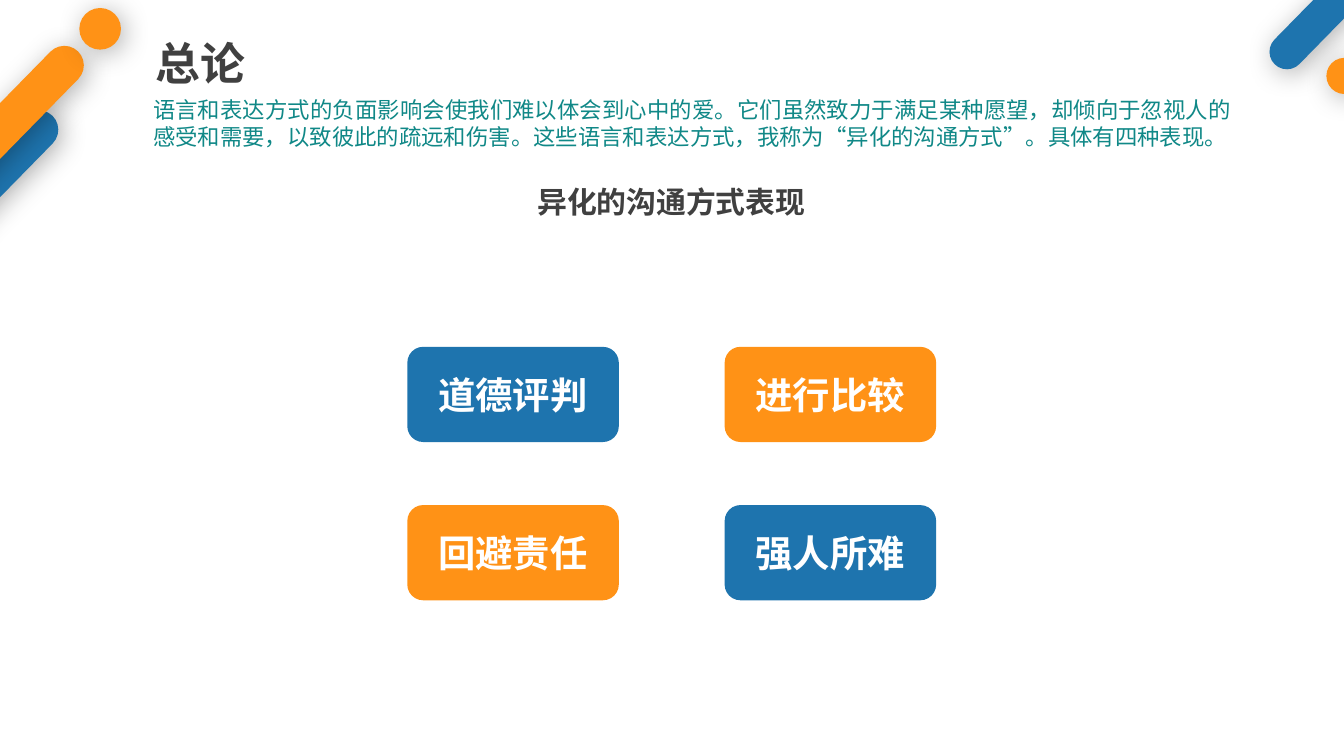
from typing import NamedTuple

from lxml import etree
from pptx import Presentation
from pptx.dml.color import RGBColor
from pptx.enum import lang, shapes, text
from pptx.oxml import ns
from pptx.util import Pt

BLUE = RGBColor(0x1E, 0x74, 0xAE)
ORANGE = RGBColor(0xFF, 0x92, 0x16)
TEAL = RGBColor(0x10, 0x88, 0x87)
DARK = RGBColor(0x40, 0x40, 0x40)
WHITE = RGBColor(0xFF, 0xFF, 0xFF)
CJK_FONT = "Noto Sans CJK SC"
BODY_FONT = "Calibri"


class Box(NamedTuple):
    left: float
    top: float
    width: float
    height: float


class Ornament(NamedTuple):
    box: Box
    color: RGBColor
    is_bar: bool


class Label(NamedTuple):
    wording: str
    size: float
    color: RGBColor
    bold: bool = True
    font: str = BODY_FONT
    align: text.PP_ALIGN = text.PP_ALIGN.CENTER


ORNAMENTS = [
    Ornament(Box(-25.2, 44.6, 20.9, 122.4), BLUE, True),
    Ornament(Box(721.4, -82.8, 18.7, 136.8), BLUE, True),
    Ornament(Box(710.6, 31, 19.4, 19.4), ORANGE, False),
    Ornament(Box(-11.5, 10.1, 20.9, 122.4), ORANGE, True),
    Ornament(Box(42.5, 4.3, 22.3, 22.3), ORANGE, False),
]
BAR_ANGLE = 44.4

INTRO = (
    "语言和表达方式的负面影响会使我们难以体会到心中的爱。"
    "它们虽然致力于满足某种愿望，却倾向于忽视人的感受和需要，以致彼此的疏远和伤害。"
    "这些语言和表达方式，我称为“异化的沟通方式”。具体有四种表现。"
)

CARDS = [["道德评判", "进行比较"], ["回避责任", "强人所难"]]
FIRST_CARD = Box(218.2, 185.8, 113.3, 51)
COLUMN_STEP, ROW_STEP = 170, 84.8


def pts(box: Box) -> list[Pt]:
    return [Pt(length) for length in box]


def write(frame, label: Label) -> None:
    frame.word_wrap = True
    frame.text = label.wording
    paragraph = frame.paragraphs[0]
    paragraph.alignment = label.align
    font = paragraph.runs[0].font
    font.name = label.font
    font.size = Pt(label.size)
    font.bold = label.bold
    font.color.rgb = label.color
    font.language_id = lang.MSO_LANGUAGE_ID.SIMPLIFIED_CHINESE
    east_asian = etree.Element(ns.qn("a:ea"), typeface=CJK_FONT)
    paragraph.runs[0]._r.rPr.find(ns.qn("a:latin")).addnext(east_asian)


def add_solid(slide, kind: shapes.MSO_SHAPE, box: Box, color: RGBColor):
    solid = slide.shapes.add_shape(kind, *pts(box))
    solid.shadow.inherit = False
    solid.fill.solid()
    solid.fill.fore_color.rgb = color
    solid.line.fill.background()
    return solid


def add_soft_shadow(solid) -> None:
    effects = solid._element.spPr.find(ns.qn("a:effectLst"))
    shadow = etree.SubElement(
        effects, ns.qn("a:outerShdw"), blurRad=str(Pt(15)), dist=str(Pt(3)),
        dir=str(45 * 60000), algn="tl", rotWithShape="0")
    tint = etree.SubElement(shadow, ns.qn("a:srgbClr"), val="000000")
    etree.SubElement(tint, ns.qn("a:alpha"), val="30000")


def add_ornament(slide, ornament: Ornament) -> None:
    kind = shapes.MSO_SHAPE.ROUNDED_RECTANGLE if ornament.is_bar else shapes.MSO_SHAPE.OVAL
    solid = add_solid(slide, kind, ornament.box, ornament.color)
    if ornament.is_bar:
        solid.adjustments[0] = 0.5
        solid.rotation = BAR_ANGLE
    add_soft_shadow(solid)


def add_text(slide, box: Box, label: Label, inset: bool = False) -> None:
    frame = slide.shapes.add_textbox(*pts(box)).text_frame
    if not inset:
        frame.margin_left = frame.margin_right = Pt(0)
        frame.margin_top = frame.margin_bottom = Pt(0)
    write(frame, label)
    frame.auto_size = text.MSO_AUTO_SIZE.SHAPE_TO_FIT_TEXT


def add_cards(slide) -> None:
    """Lay the cards out in a grid with colours alternating like a chessboard."""
    for row, wordings in enumerate(CARDS):
        for column, wording in enumerate(wordings):
            box = FIRST_CARD._replace(
                left=FIRST_CARD.left + column * COLUMN_STEP,
                top=FIRST_CARD.top + row * ROW_STEP)
            color = (BLUE, ORANGE)[(row + column) % 2]
            card = add_solid(slide, shapes.MSO_SHAPE.ROUNDED_RECTANGLE, box, color)
            card.text_frame.vertical_anchor = text.MSO_ANCHOR.MIDDLE
            write(card.text_frame, Label(wording, 20, WHITE))


def main() -> None:
    deck = Presentation()
    deck.slide_width, deck.slide_height = Pt(720), Pt(405)
    slide = deck.slides.add_slide(deck.slide_layouts[6])

    for ornament in ORNAMENTS:
        add_ornament(slide, ornament)
    add_text(slide, Box(76.3, 15.8, 172.8, 36),
             Label("总论", 24, DARK, font=CJK_FONT, align=text.PP_ALIGN.LEFT), inset=True)
    add_text(slide, Box(252, 98.6, 215.3, 19.4), Label("异化的沟通方式表现", 16, DARK))
    add_text(slide, Box(82, 51.8, 578.2, 28.8),
             Label(INTRO, 12, TEAL, bold=False, align=text.PP_ALIGN.JUSTIFY))
    add_cards(slide)
    deck.save("out.pptx")


if __name__ == "__main__":
    main()
